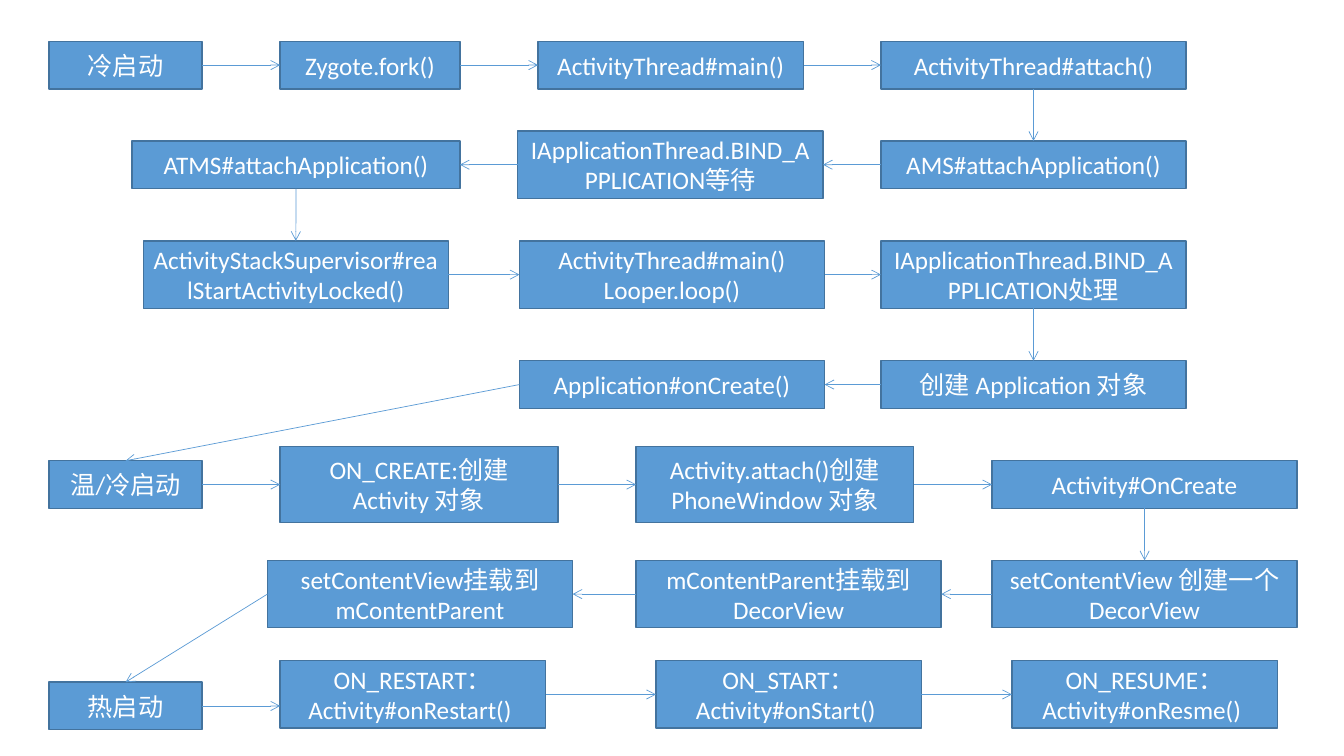
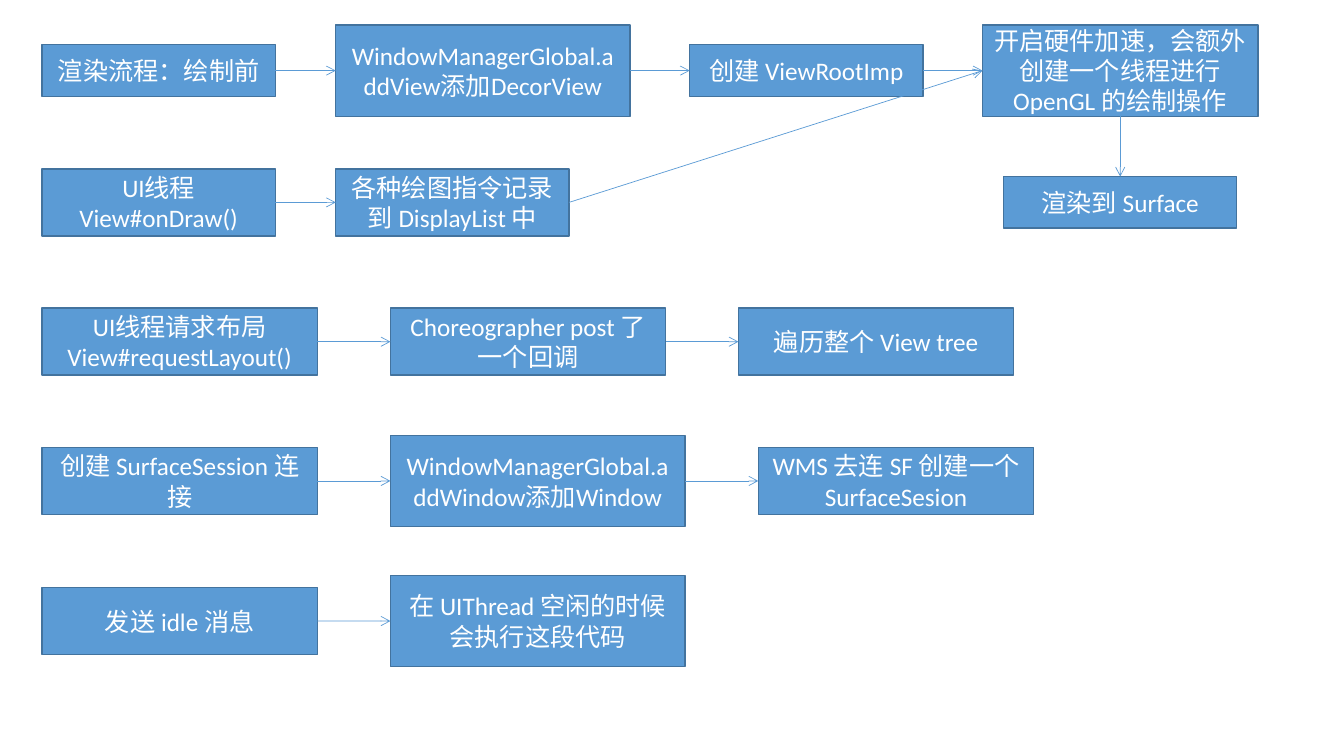
from dataclasses import dataclass
from typing import NamedTuple, Optional

from lxml.etree import SubElement
from pptx import Presentation
from pptx.dml.color import RGBColor
from pptx.enum.shapes import MSO_CONNECTOR, MSO_SHAPE
from pptx.enum.text import MSO_ANCHOR, PP_ALIGN
from pptx.oxml.ns import qn
from pptx.shapes.autoshape import Shape
from pptx.slide import Slide
from pptx.util import Cm, Pt

# Shared style
BLUE = "5B9BD5"
OUTLINE = "43739E"
WHITE = "FFFFFF"
FONT = "Calibri"


class Route(NamedTuple):
    """Sides an arrow leaves and enters: 0 top, 1 left, 2 bottom, 3 right."""
    begin: int
    end: int
    joined: bool = True


RIGHT = Route(3, 1)
LEFT = Route(1, 3)
DOWN = Route(2, 0)
LEFT_TO_TOP = Route(1, 0)
LEVEL = Route(3, 1, joined=False)  # stays level, ends off the side's middle


class Step(NamedTuple):
    text: str
    left: float
    width: float
    height: float


@dataclass
class Row:
    """Steps on one centre line, joined by route; leave leads to the next row."""
    middle: float
    route: Route
    steps: list[Step]
    leave: Optional[Route] = None


# Box sizes in cm
LOW, TALL, CREATE = 1.2, 1.7, 1.91
THIN, MEDIUM, HIGH = 1.3, 1.69, 2.3
START, LIFECYCLE, CALL = 3.85, 6.69, 7.69
SHORT, NORMAL, WIDE = 5.88, 6.94, 7.42

# Columns in cm
START_X, SECOND_X, THIRD_X, FOURTH_X = 1.24, 7.06, 13.09, 22.2
WINDOW_X, CREATE_X = 16.03, 25.0
RENDER_X, DRAW_X, POST_X = 1.06, 8.46, 9.84

STARTUP = [
    Row(1.64, RIGHT, [
        Step("冷启动", START_X, START, LOW),
        Step("Zygote.fork()", SECOND_X, 4.53, LOW),
        Step("ActivityThread#main()", 13.56, LIFECYCLE, LOW),
        Step("ActivityThread#attach()", FOURTH_X, CALL, LOW),
    ], DOWN),
    Row(4.15, LEFT, [
        Step("AMS#attachApplication()", FOURTH_X, CALL, LOW),
        Step("IApplicationThread.BIND_APPLICATION等待", 13.05, CALL, TALL),
        Step("ATMS#attachApplication()", 3.33, 8.26, LOW),
    ], DOWN),
    Row(6.92, RIGHT, [
        Step("ActivityStackSupervisor#realStartActivityLocked()", 3.61, CALL, TALL),
        Step("ActivityThread#main()\nLooper.loop()", THIRD_X, CALL, TALL),
        Step("IApplicationThread.BIND_APPLICATION处理", FOURTH_X, CALL, TALL),
    ], DOWN),
    Row(9.69, LEFT, [
        Step("创建 Application 对象", FOURTH_X, CALL, LOW),
        Step("Application#onCreate()", THIRD_X, CALL, LOW),
    ], LEFT_TO_TOP),
    Row(12.21, RIGHT, [
        Step("温/冷启动", START_X, START, LOW),
        Step("ON_CREATE:创建 Activity 对象", SECOND_X, 7.0, CREATE),
        Step("Activity.attach()创建 PhoneWindow 对象", WINDOW_X, 7.0, CREATE),
        Step("Activity#OnCreate", CREATE_X, CALL, LOW),
    ], DOWN),
    Row(14.97, LEFT, [
        Step("setContentView 创建一个 DecorView", CREATE_X, CALL, TALL),
        Step("mContentParent挂载到DecorView", WINDOW_X, CALL, TALL),
        Step("setContentView挂载到mContentParent", 6.74, CALL, TALL),
    ], LEFT_TO_TOP),
    Row(17.79, RIGHT, [Step("热启动", START_X, START, LOW)], LEVEL),
    Row(17.5, RIGHT, [
        Step("ON_RESTART：Activity#onRestart() ", SECOND_X, LIFECYCLE, TALL),
        Step("ON_START：Activity#onStart() ", 16.53, LIFECYCLE, TALL),
        Step("ON_RESUME：Activity#onResme() ", 25.5, LIFECYCLE, TALL),
    ]),
]

RENDERING = [
    Row(1.78, RIGHT, [
        Step("渲染流程：绘制前", RENDER_X, SHORT, THIN),
        Step("WindowManagerGlobal.addView添加DecorView", DRAW_X, WIDE, HIGH),
        Step("创建 ViewRootImp", 17.38, SHORT, THIN),
        Step("开启硬件加速，会额外创建一个线程进行 OpenGL 的绘制操作",
             24.76, NORMAL, HIGH),
    ], DOWN),
    Row(5.1, RIGHT, [Step("渲染到 Surface", 25.29, SHORT, THIN)]),
    Row(5.1, RIGHT, [
        Step("UI线程View#onDraw()", RENDER_X, SHORT, MEDIUM),
        Step("各种绘图指令记录到 DisplayList 中", DRAW_X, SHORT, MEDIUM),
    ]),
    Row(8.61, RIGHT, [
        Step("UI线程请求布局View#requestLayout()", RENDER_X, NORMAL, MEDIUM),
        Step("Choreographer post 了一个回调", POST_X, NORMAL, MEDIUM),
        Step("遍历整个 View tree", 18.61, NORMAL, MEDIUM),
    ]),
    Row(12.12, RIGHT, [
        Step("创建 SurfaceSession 连接", RENDER_X, NORMAL, MEDIUM),
        Step("WindowManagerGlobal.addWindow添加Window", POST_X, WIDE, HIGH),
        Step("WMS 去连 SF 创建一个 SurfaceSesion", 19.11, NORMAL, MEDIUM),
    ]),
    Row(15.65, RIGHT, [
        Step("发送 idle 消息", RENDER_X, NORMAL, MEDIUM),
        Step("在 UIThread 空闲的时候会执行这段代码", POST_X, WIDE, HIGH),
    ]),
]


def color(value: str) -> RGBColor:
    return RGBColor.from_string(value)


def draw_step(slide: Slide, step: Step, middle: float) -> Shape:
    shape = slide.shapes.add_shape(
        MSO_SHAPE.RECTANGLE, Cm(step.left), Cm(middle - step.height / 2),
        Cm(step.width), Cm(step.height))
    shape.shadow.inherit = False
    shape.fill.solid()
    shape.fill.fore_color.rgb = color(BLUE)
    shape.line.color.rgb = color(OUTLINE)
    shape.line.width = Pt(1)
    frame = shape.text_frame
    frame.word_wrap = True
    frame.vertical_anchor = MSO_ANCHOR.MIDDLE
    frame.text = step.text
    for paragraph in frame.paragraphs:
        paragraph.alignment = PP_ALIGN.CENTER
        paragraph.font.name = FONT
        paragraph.font.size = Pt(18)
        paragraph.font.color.rgb = color(WHITE)
    return shape


def draw_arrow(slide: Slide, source: Shape, target: Shape, route: Route) -> None:
    level = source.top + source.height // 2
    connector = slide.shapes.add_connector(
        MSO_CONNECTOR.STRAIGHT, source.left + source.width, level,
        target.left, level)
    connector.begin_connect(source, route.begin)
    if route.joined:
        connector.end_connect(target, route.end)
    connector.line.color.rgb = color(BLUE)
    connector.line.width = Pt(0.5)
    # Arrowhead, and no shadow
    SubElement(connector.line._get_or_add_ln(), qn("a:tailEnd"), type="arrow")
    SubElement(connector._element.spPr, qn("a:effectLst"))


def draw_flow(slide: Slide, rows: list[Row]) -> list[list[Shape]]:
    """Draw all boxes, then the arrows within and between the rows."""
    boxes = [[draw_step(slide, step, row.middle) for step in row.steps]
             for row in rows]
    for index, row in enumerate(rows):
        for source, target in zip(boxes[index], boxes[index][1:]):
            draw_arrow(slide, source, target, row.route)
        if row.leave:
            draw_arrow(slide, boxes[index][-1], boxes[index + 1][0], row.leave)
    return boxes


def main() -> None:
    presentation = Presentation()
    presentation.slide_width = Cm(33.87)
    presentation.slide_height = Cm(19.05)
    blank = presentation.slide_layouts[6]

    # App start: cold, warm, hot
    draw_flow(presentation.slides.add_slide(blank), STARTUP)

    # Rendering; recorded commands feed the accelerated drawing thread
    slide = presentation.slides.add_slide(blank)
    boxes = draw_flow(slide, RENDERING)
    draw_arrow(slide, boxes[2][-1], boxes[0][-1], RIGHT)

    presentation.save("out.pptx")


if __name__ == "__main__":
    main()
